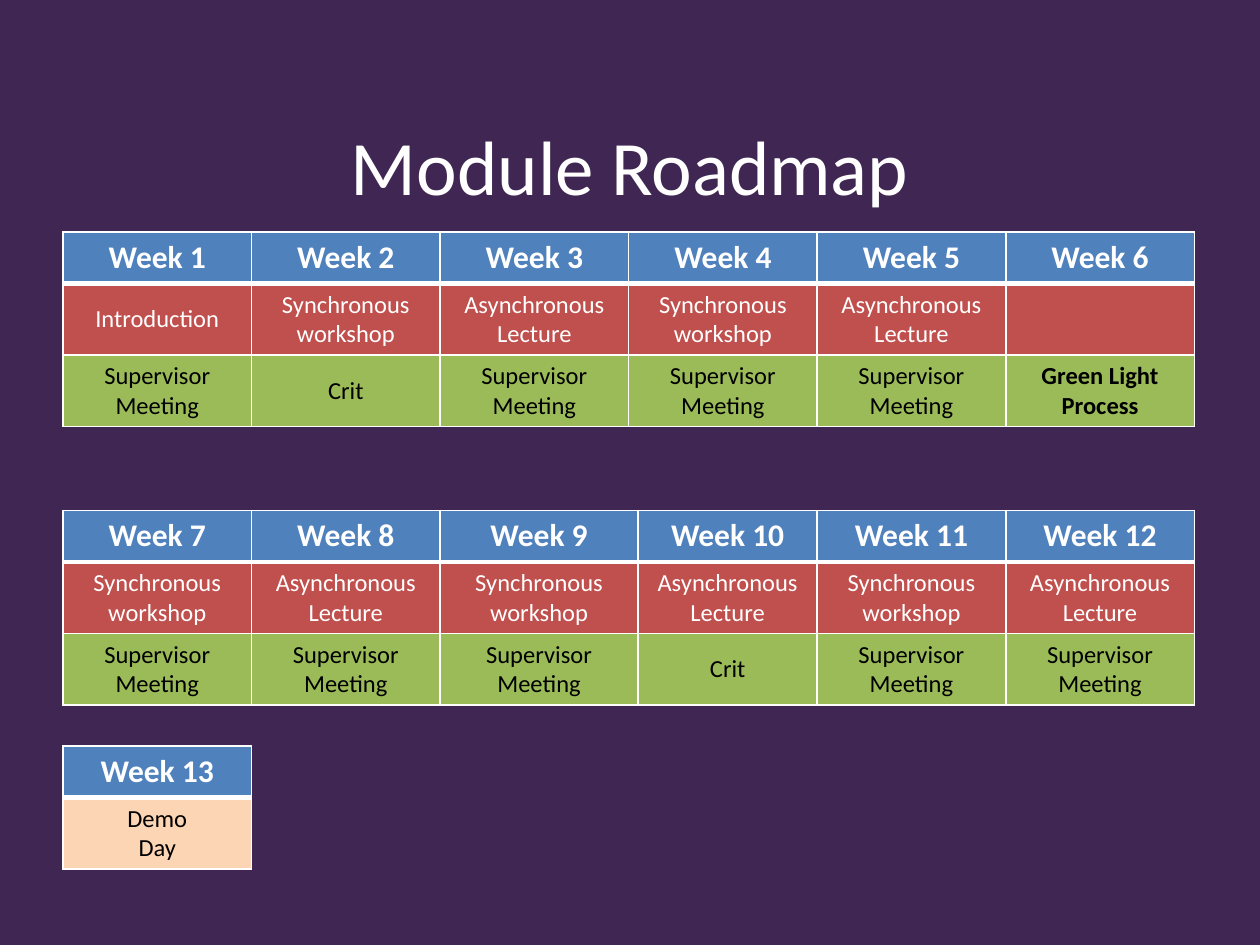
from lxml.etree import SubElement
from pptx import Presentation
from pptx.dml.color import RGBColor
from pptx.enum.text import MSO_ANCHOR as Anchor, PP_ALIGN as Align
from pptx.oxml.ns import qn
from pptx.util import Inches, Pt

COLORS = {
    "background": "402652",
    "white": "FFFFFF",
    "black": "000000",
    "week": "4F81BD",
    "teaching": "C0504D",
    "meeting": "9BBB59",
    "demo": "FCD5B5",
}

SYNC = "Synchronous workshop"
ASYNC = "Asynchronous Lecture"
MEETING = "Supervisor\nMeeting"
GREEN_LIGHT = "Green Light Process"


def rgb(name):
    return RGBColor.from_string(COLORS[name])


class RoadmapSlide:
    font = "Calibri"
    left = 0.5
    column = 8.98 / 6
    row = 0.41
    row_styles = {
        "week": (18, "white", Anchor.TOP),
        "teaching": (14, "white", Anchor.MIDDLE),
        "meeting": (14, "black", Anchor.MIDDLE),
        "demo": (14, "black", Anchor.MIDDLE),
    }

    def __init__(self, presentation):
        self.slide = presentation.slides.add_slide(presentation.slide_layouts[6])
        fill = self.slide.background.fill
        fill.solid()
        fill.fore_color.rgb = rgb("background")

    def set_text(self, frame, text, size, color, bold=False):
        frame.text = text
        for paragraph in frame.paragraphs:
            paragraph.alignment = Align.CENTER
            paragraph.font.name = self.font
            paragraph.font.size = Pt(size)
            paragraph.font.bold = bold
            paragraph.font.color.rgb = rgb(color)

    def title(self, text, top, height):
        box = self.slide.shapes.add_textbox(
            Inches(self.left), Inches(top), Inches(9), Inches(height))
        frame = box.text_frame
        frame.word_wrap = True
        frame.vertical_anchor = Anchor.MIDDLE
        self.set_text(frame, text, 44, "white")

    def borders(self, cell, top, bottom):
        properties = cell._tc.get_or_add_tcPr()
        for side, points in (("L", 1), ("R", 1), ("T", top), ("B", bottom)):
            line = SubElement(properties, qn(f"a:ln{side}"), w=str(Pt(points)))
            fill = SubElement(line, qn("a:solidFill"))
            SubElement(fill, qn("a:srgbClr"), val=COLORS["white"])

    def table(self, top, height, rows, widths, last_row=1):
        shape = self.slide.shapes.add_table(
            len(rows), len(widths), Inches(self.left), Inches(top),
            Inches(self.column * sum(widths)), Inches(height))
        table = shape.table
        table.horz_banding = False
        for column, share in zip(table.columns, widths):
            column.width = Inches(self.column * share)
        for index, (kind, texts) in enumerate(rows):
            share = last_row if index == len(rows) - 1 else 1
            table.rows[index].height = Inches(self.row * share)
            size, color, anchor = self.row_styles[kind]
            for position, text in enumerate(texts):
                cell = table.cell(index, position)
                self.borders(cell, 3 if index == 1 else 1, 3 if index == 0 else 1)
                cell.fill.solid()
                cell.fill.fore_color.rgb = rgb(kind)
                cell.vertical_anchor = anchor
                bold = kind == "week" or text == GREEN_LIGHT
                self.set_text(cell.text_frame, text, size, color, bold)
        shape.height = Inches(height)


def weeks(first, last):
    return [f"Week {number}" for number in range(first, last + 1)]


def main():
    presentation = Presentation()
    presentation.slide_width = Inches(10)
    presentation.slide_height = Inches(7.5)
    roadmap = RoadmapSlide(presentation)
    roadmap.title("Module Roadmap", 0.8, 1.02)
    roadmap.table(1.84, 1.54, [
        ("week", weeks(1, 6)),
        ("teaching", ["Introduction", SYNC, ASYNC, SYNC, ASYNC, ""]),
        ("meeting", [MEETING, "Crit", MEETING, MEETING, MEETING, GREEN_LIGHT]),
    ], [1] * 6, last_row=1.12)
    roadmap.table(4.05, 1.54, [
        ("week", weeks(7, 12)),
        ("teaching", [SYNC, ASYNC] * 3),
        ("meeting", [MEETING, MEETING, MEETING, "Crit", MEETING, MEETING]),
    ], [1, 1, 1.05, 0.95, 1, 1])
    roadmap.table(5.92, 0.97, [
        ("week", weeks(13, 13)),
        ("demo", ["Demo\nDay"]),
    ], [1])
    presentation.save("out.pptx")


if __name__ == "__main__":
    main()
